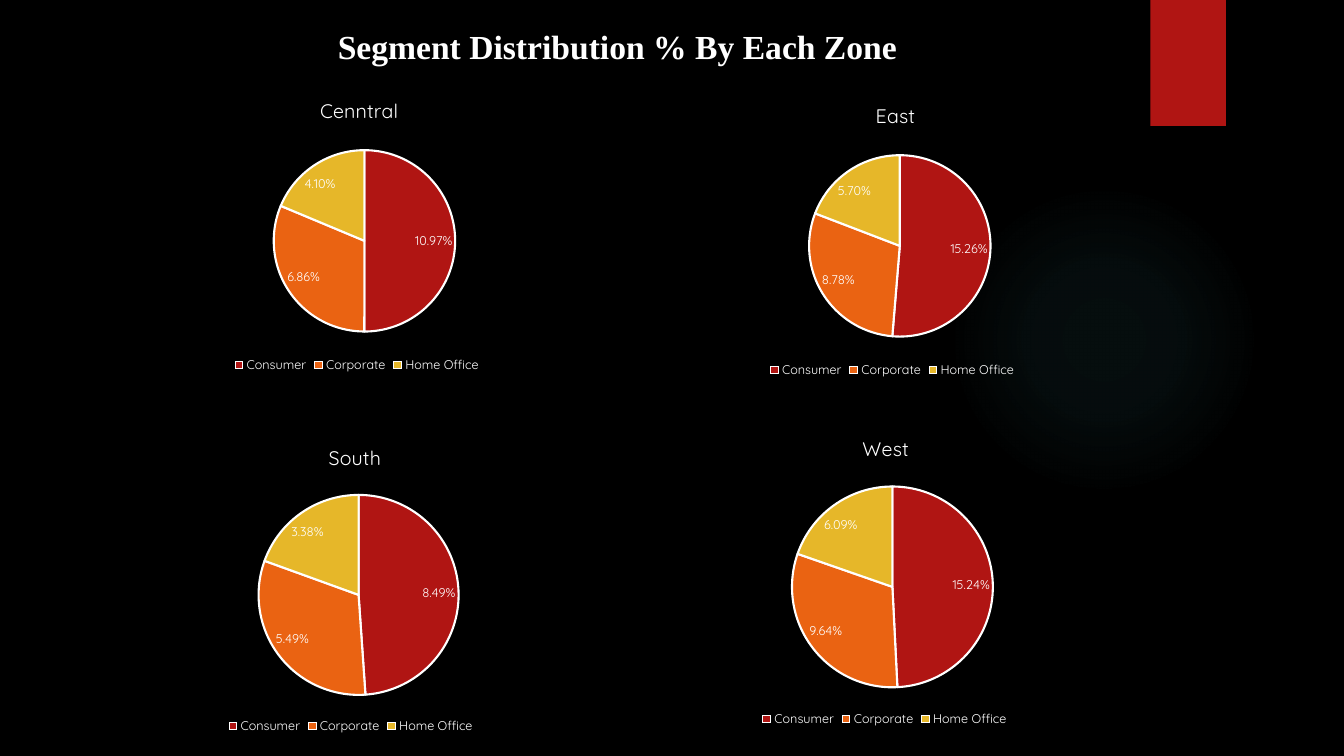
from dataclasses import dataclass

from lxml import etree
from pptx import Presentation, util as u
from pptx.chart.data import CategoryChartData
from pptx.dml.color import RGBColor
from pptx.enum import chart as ch, shapes, text
from pptx.oxml import parse_xml
from pptx.oxml.ns import nsdecls, qn


@dataclass(frozen=True)
class Theme:
    """Colours, fonts and type sizes of the slide."""
    black: RGBColor = RGBColor.from_string("000000")
    white: RGBColor = RGBColor.from_string("FFFFFF")
    red: RGBColor = RGBColor.from_string("B01513")
    orange: RGBColor = RGBColor.from_string("EA6312")
    yellow: RGBColor = RGBColor.from_string("E6B729")
    glow: str = "50B9C1"
    heading_font: str = "Times New Roman"
    chart_font: str = "Quicksand"
    heading: int = 24
    chart_title: int = 14
    body: int = 10
    small: int = 9


THEME = Theme()
SEGMENTS = ("Consumer", "Corporate", "Home Office")
ZONES = [
    ("Cenntral", (1.04, 0.74, 5, 3), (0.1097, 0.0686, 0.041), 0.42, 0.6),
    ("East", (6.35, 0.79, 5, 3), (0.1526, 0.0878, 0.057), 0.46, 0.6),
    ("South", (0.92, 4.17, 5.12, 3.15), (0.0849, 0.0549, 0.0338), 0.45, 0.63),
    ("West", (6.22, 4.08, 5.11, 3.17), (0.1524, 0.0964, 0.0609), 0.45, 0.63),
]


def inches(box):
    """Turn a box of numbers into lengths."""
    return [u.Inches(v) for v in box]


def set_font(font, size, name=THEME.chart_font, bold=False):
    """Apply a white font of the given size."""
    font.name, font.size, font.bold = name, u.Pt(size), bold
    font.color.rgb = THEME.white


def add_decor(s, kind, box):
    """Add a plain red shape without line or shadow."""
    sp = s.shapes.add_shape(kind, *inches(box))
    sp.shadow.inherit = False
    sp.line.fill.background()
    sp.fill.solid()
    sp.fill.fore_color.rgb = THEME.red
    return sp


def add_glow(s, box):
    """Add the faint circular glow."""
    sp = add_decor(s, shapes.MSO_SHAPE.OVAL, box)
    stops = "".join(
        f'<a:gs pos="{pos * 1000}"><a:srgbClr val="{THEME.glow}">'
        f'<a:alpha val="{alpha * 1000}"/></a:srgbClr></a:gs>'
        for pos, alpha in ((0, 7), (36, 6), (69, 0)))
    grad = parse_xml(
        f'<a:gradFill {nsdecls("a")} rotWithShape="1"><a:gsLst>{stops}</a:gsLst>'
        '<a:path path="circle"><a:fillToRect l="50000" t="50000" r="50000" '
        'b="50000"/></a:path></a:gradFill>')
    props = sp.element.spPr
    props.replace(props.find(qn("a:solidFill")), grad)


def add_heading(s, box):
    """Place and format the slide title."""
    title = s.shapes.title
    title.left, title.top, title.width, title.height = inches(box)
    tf = title.text_frame
    tf.text = "Segment Distribution % By Each Zone"
    tf.word_wrap = True
    tf.auto_size = text.MSO_AUTO_SIZE.SHAPE_TO_FIT_TEXT
    tf.vertical_anchor = text.MSO_ANCHOR.TOP
    p = tf.paragraphs[0]
    p.alignment = text.PP_ALIGN.LEFT
    set_font(p.font, THEME.heading, THEME.heading_font, True)


def set_layout(parent, after, **values):
    """Fix a chart part at fractions of the chart area."""
    for old in parent.findall(qn("c:layout")):
        parent.remove(old)
    layout = etree.Element(qn("c:layout"))
    manual = etree.SubElement(layout, qn("c:manualLayout"))
    for tag, value in values.items():
        etree.SubElement(manual, qn(f"c:{tag}")).set("val", str(value))
    if after is None:
        parent.insert(0, layout)
    else:
        after.addnext(layout)


def add_zone_pie(s, name, box, shares, title_x, pie_height):
    """Add the segment pie of one zone."""
    data = CategoryChartData(number_format="0.00%")
    data.categories = SEGMENTS
    data.add_series("Series 1", shares)
    chart = s.shapes.add_chart(ch.XL_CHART_TYPE.PIE, *inches(box), data).chart
    set_font(chart.font, THEME.body)

    chart.has_title = True
    tf = chart.chart_title.text_frame
    tf.text = name
    set_font(tf.paragraphs[0].font, THEME.chart_title)
    title = chart.chart_title._element
    set_layout(title, title.find(qn("c:tx")),
               xMode="edge", yMode="edge", x=title_x, y=0.06)

    chart.has_legend = True
    chart.legend.position = ch.XL_LEGEND_POSITION.BOTTOM
    chart.legend.include_in_layout = False
    set_font(chart.legend.font, THEME.small)

    plot = chart.plots[0]
    plot.vary_by_categories = True
    for i, color in enumerate((THEME.red, THEME.orange, THEME.yellow)):
        look = plot.series[0].points[i].format
        look.fill.solid()
        look.fill.fore_color.rgb = color
        look.line.color.rgb = THEME.white
        look.line.width = u.Pt(1.5)
    labels = plot.series[0].data_labels
    labels.show_value = True
    labels.number_format = "0.00%"
    labels.number_format_is_linked = False
    labels.position = ch.XL_LABEL_POSITION.BEST_FIT
    set_font(labels.font, THEME.small)

    pie_width = round(pie_height * box[3] / box[2], 2)
    area = chart._chartSpace.find(".//" + qn("c:plotArea"))
    set_layout(area, None, layoutTarget="inner", xMode="edge", yMode="edge",
               x=round(0.515 - pie_width / 2, 3),
               y=round(0.55 - pie_height / 2, 3), w=pie_width, h=pie_height)


def build_slide(prs):
    """Build the slide of four zone pies."""
    s = prs.slides.add_slide(prs.slide_layouts[5])
    s.background.fill.solid()
    s.background.fill.fore_color.rgb = THEME.black
    add_glow(s, (9.41, 1.83, 3.08, 3.08))
    add_decor(s, shapes.MSO_SHAPE.RECTANGLE, (11.41, 0, 0.75, 1.25))
    for zone in ZONES:
        add_zone_pie(s, *zone)
    add_heading(s, (3.25, 0.21, 7.5, 0.5))


def main():
    """Create and save the presentation."""
    prs = Presentation()
    prs.slide_width, prs.slide_height = u.Inches(13.33), u.Inches(7.5)
    build_slide(prs)
    prs.save("out.pptx")


if __name__ == "__main__":
    main()
